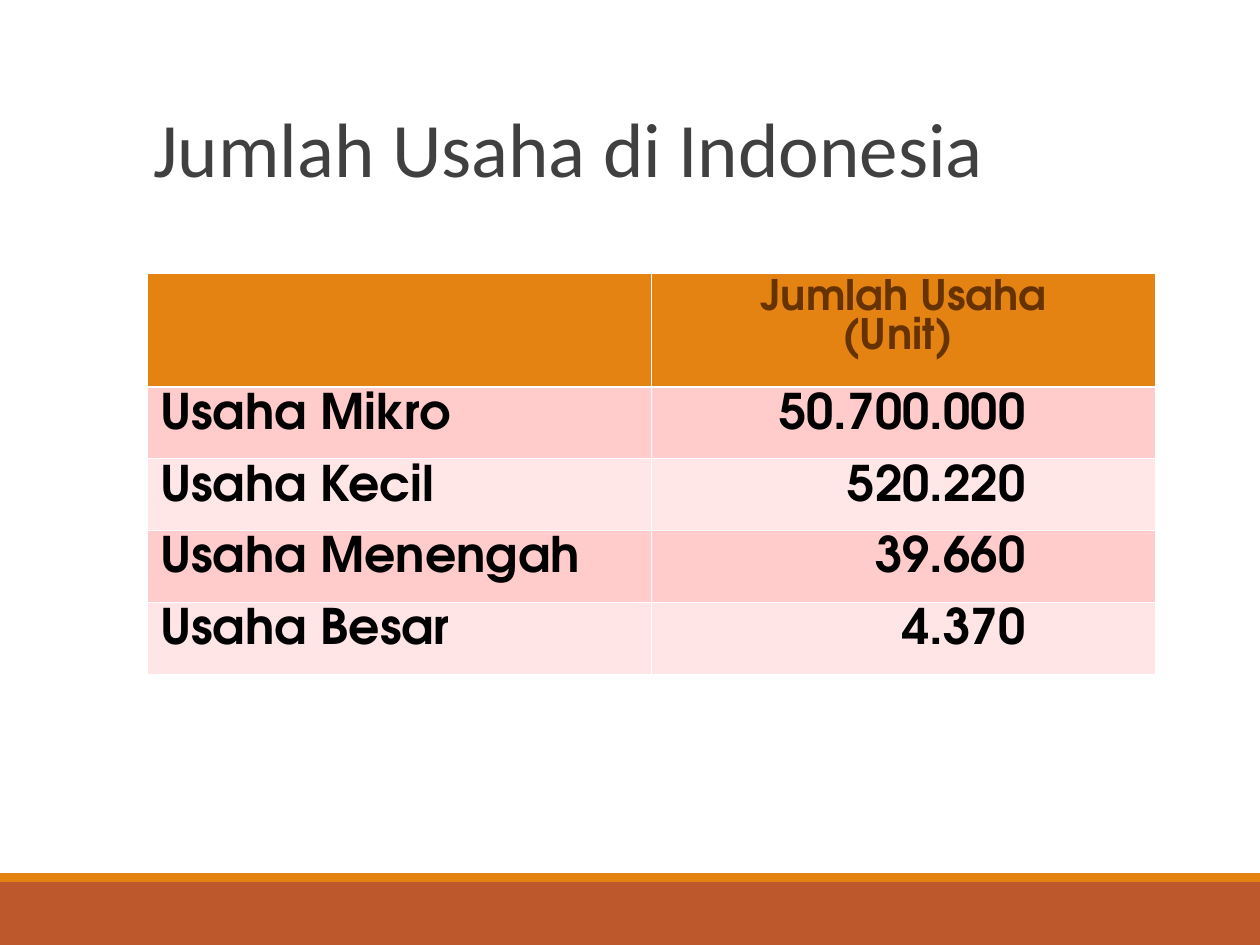
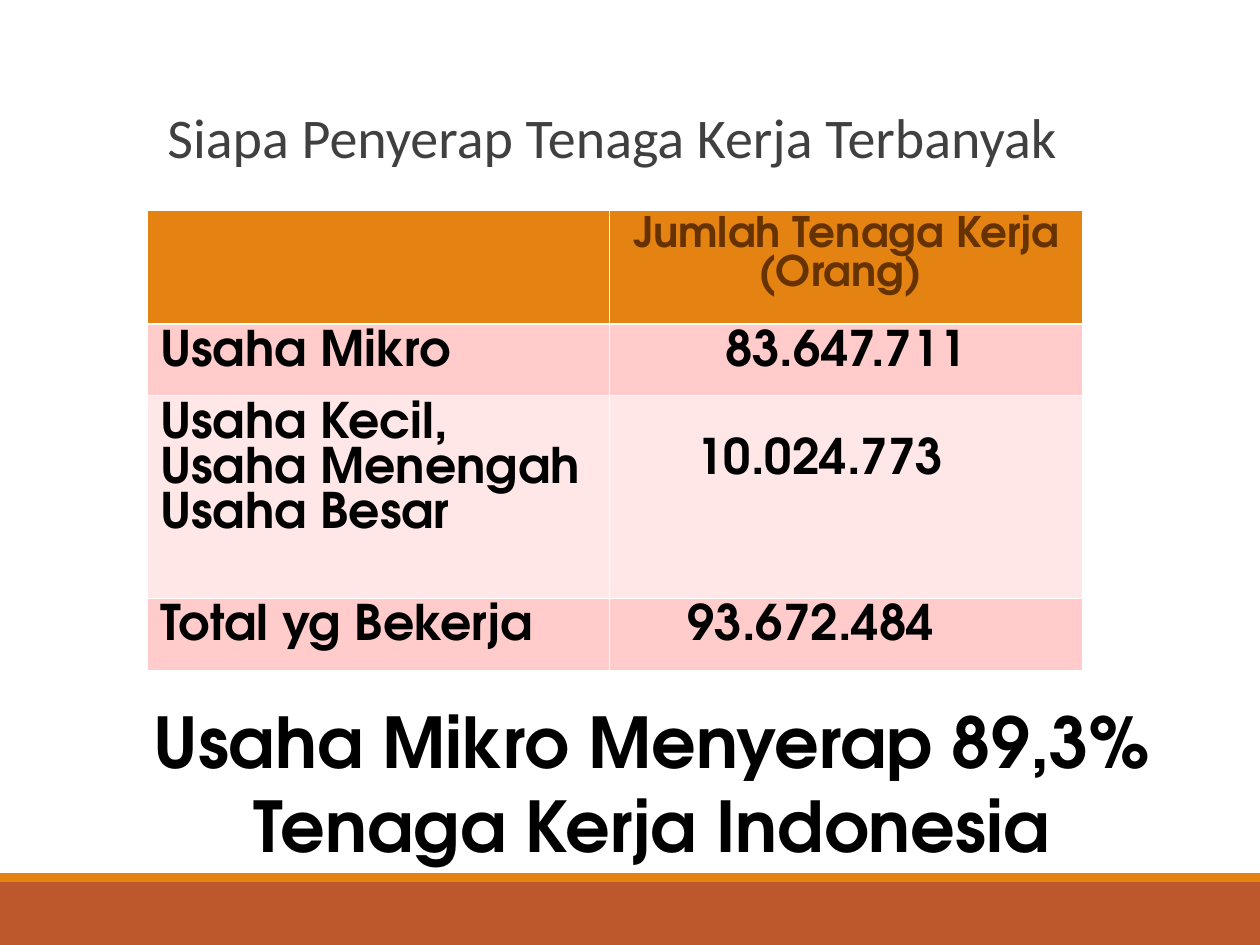
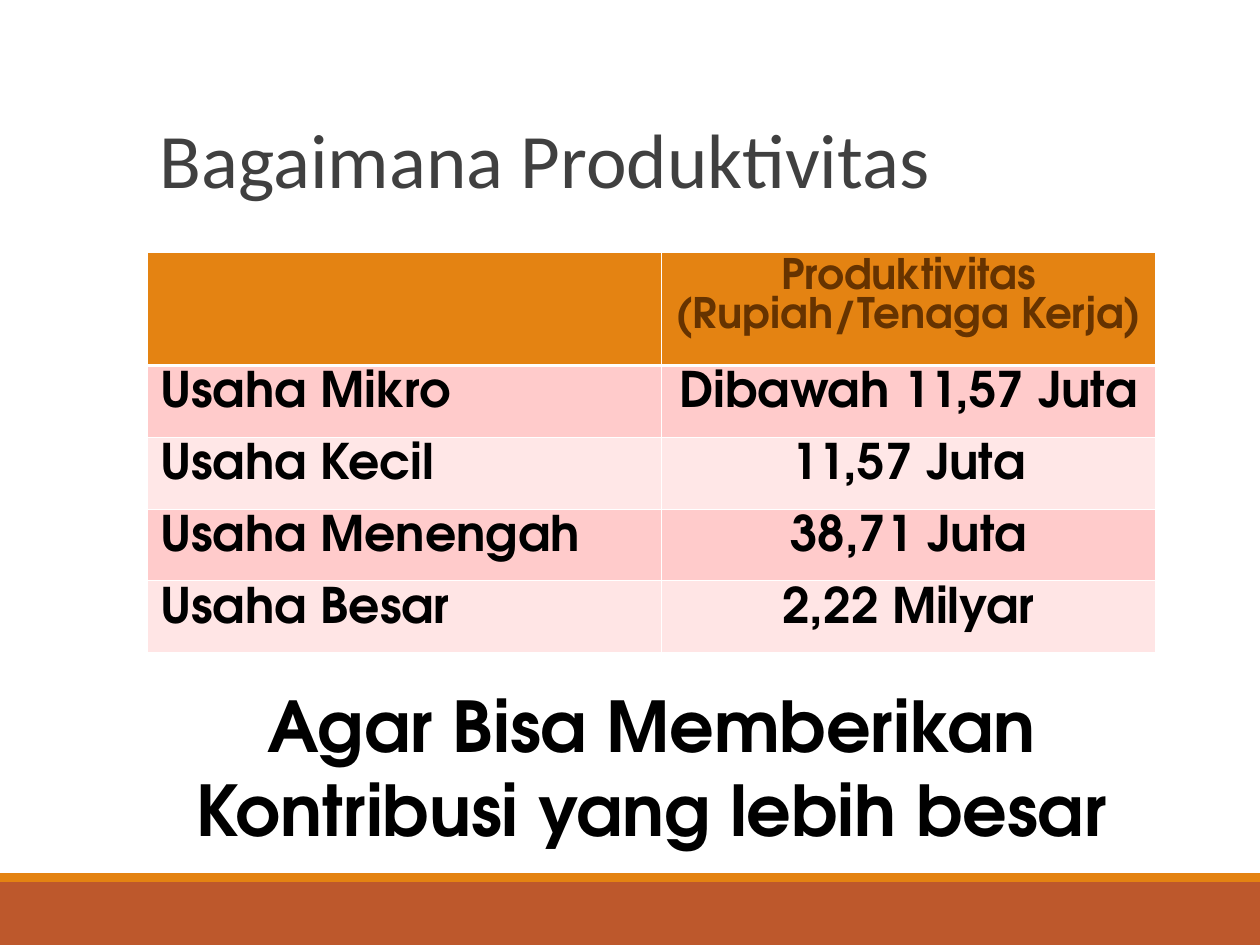
"""Three slides on Indonesian businesses: their number, their workers and their productivity."""
from lxml import etree
from pptx import Presentation, util as u
from pptx.dml.color import RGBColor
from pptx.enum import shapes, text
from pptx.oxml.ns import qn

W, H = 10, 7.5
BODY, HEAD = "TeX Gyre Adventor", "Calibri"
RUST, ORANGE, BROWN, GREY, BLACK, WHITE = "BD582C", "E48312", "663300", "404040", "000000", "FFFFFF"
ROW_FILLS = [ORANGE, "FFCBCB", "FFE7E7", "FFCBCB", "FFE5E5"]
HEAD_ROW, ROW, TALL_ROW = 0.9, 0.57, 1.61
TABLE_LEFT = 1.17
CENTER, LEFT, RIGHT = text.PP_ALIGN.CENTER, text.PP_ALIGN.LEFT, text.PP_ALIGN.RIGHT
MIDDLE, BOTTOM = text.MSO_ANCHOR.MIDDLE, text.MSO_ANCHOR.BOTTOM


def rgb(color):
    return RGBColor.from_string(color)


def write(tf, words, size, font, color, bold=False, align=LEFT, spacing=1.0):
    tf.word_wrap = True
    for i, line in enumerate(words.split("\n")):
        p = tf.paragraphs[0] if i == 0 else tf.add_paragraph()
        p.alignment, p.line_spacing = align, spacing
        r = p.add_run()
        r.text = line
        r.font.size, r.font.name, r.font.bold = u.Pt(size), font, bold
        r.font.color.rgb = rgb(color)


slides = [
    dict(title="Jumlah Usaha di Indonesia", title_box=(1.12, 0.7, 8.04, 0.88), size=44, anchor=BOTTOM,
         top=2.17, cols=(4, 4), align=RIGHT,
         rows=[(HEAD_ROW, "", "Jumlah Usaha\n(Unit) ", 0.1, 0.05),
               (ROW, "Usaha Mikro", "50.700.000", 1.03, 0.05),
               (ROW, "Usaha Kecil", "520.220", 1.03, 0.05),
               (ROW, "Usaha Menengah", "39.660", 1.03, 0.05),
               (ROW, "Usaha Besar", "4.370", 1.03, 0.05)]),
    dict(title="Siapa Penyerap Tenaga Kerja Terbanyak", title_box=(1.23, 0.66, 7.35, 0.92), size=32,
         anchor=MIDDLE, top=1.67, cols=(3.67, 3.75), align=CENTER,
         rows=[(HEAD_ROW, "", "Jumlah Tenaga Kerja\n(Orang) ", 0.1, 0.05),
               (ROW, "Usaha Mikro", "83.647.711", 0.1, 0.05),
               (TALL_ROW, "Usaha Kecil,\nUsaha Menengah\nUsaha Besar", "10.024.773", 0.52, 0.34),
               (ROW, "Total yg Bekerja", "93.672.484", 0.66, 0.05)],
         message="Usaha Mikro Menyerap 89,3% Tenaga Kerja Indonesia", message_box=(0.67, 5.42, 9, 1.58)),
    dict(title="Bagaimana Produktivitas", title_box=(1.17, 0.72, 6.83, 0.95), size=44, anchor=BOTTOM,
         top=2, cols=(4.08, 3.92), align=CENTER,
         rows=[(HEAD_ROW, "", "Produktivitas\n(Rupiah/Tenaga Kerja) ", 0.1, 0.05),
               (ROW, "Usaha Mikro", "Dibawah 11,57 Juta", 0.1, 0.05),
               (ROW, "Usaha Kecil", "11,57 Juta", 0.1, 0.05),
               (ROW, "Usaha Menengah", "38,71 Juta", 0.1, 0.05),
               (ROW, "Usaha Besar", "2,22 Milyar", 0.1, 0.05)],
         message="Agar Bisa Memberikan Kontribusi yang lebih besar", message_box=(0.67, 5.33, 9, 1.5)),
]

prs = Presentation()
prs.slide_width, prs.slide_height = u.Inches(W), u.Inches(H)

for d in slides:
    s = prs.slides.add_slide(prs.slide_layouts[6])

    for top, height, color in [(7, 0.5, RUST), (6.93, 0.07, ORANGE)]:
        sp = s.shapes.add_shape(shapes.MSO_SHAPE.RECTANGLE, 0, u.Inches(top), u.Inches(W), u.Inches(height))
        sp.shadow.inherit = False
        sp.fill.solid()
        sp.fill.fore_color.rgb = rgb(color)
        sp.line.fill.background()

    tf = s.shapes.add_textbox(*map(u.Inches, d["title_box"])).text_frame
    tf.vertical_anchor = d["anchor"]
    write(tf, d["title"], d["size"], HEAD, GREY, spacing=0.85)

    heights = [row[0] for row in d["rows"]]
    box = TABLE_LEFT, d["top"], sum(d["cols"]), sum(heights)
    table = s.shapes.add_table(len(heights), 2, *map(u.Inches, box)).table
    for column, width in zip(table.columns, d["cols"]):
        column.width = u.Inches(width)

    for i, (height, label, value, right, top) in enumerate(d["rows"]):
        table.rows[i].height = u.Inches(height)
        size, color = (24, BROWN) if i == 0 else (28, BLACK)
        value_align = CENTER if i == 0 else d["align"]
        for j, (words, align) in enumerate([(label, LEFT), (value, value_align)]):
            cell = table.cell(i, j)
            if words:
                write(cell.text_frame, words, size, BODY, color, True, align)
            if j == 1:
                cell.margin_right, cell.margin_top = u.Inches(right), u.Inches(top)
            tc_pr = cell._tc.get_or_add_tcPr()
            for side in ("L", "R", "T", "B"):
                thick = (i, side) in [(0, "B"), (1, "T")]
                ln = etree.SubElement(tc_pr, qn(f"a:ln{side}"), w=str(u.Pt(1.47 if thick else 0.45)))
                etree.SubElement(etree.SubElement(ln, qn("a:solidFill")), qn("a:srgbClr"), val=WHITE)
            cell.fill.solid()
            cell.fill.fore_color.rgb = rgb(ROW_FILLS[i])

    if "message" in d:
        tf = s.shapes.add_textbox(*map(u.Inches, d["message_box"])).text_frame
        tf.vertical_anchor = MIDDLE
        write(tf, d["message"], 40, BODY, BLACK, True, CENTER)

prs.save("out.pptx")
